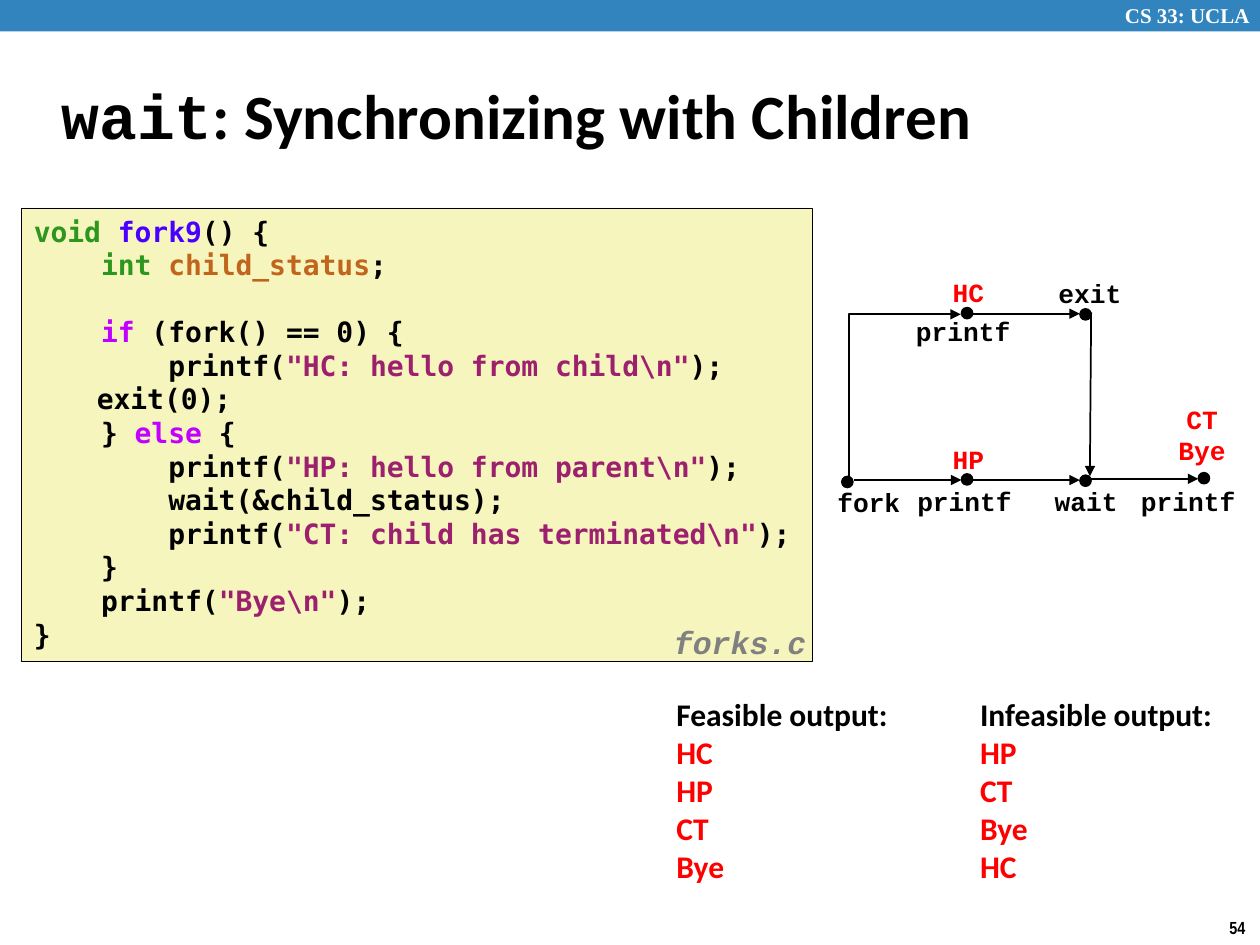
from lxml import etree
from pptx import Presentation
from pptx.dml.color import RGBColor
from pptx.enum.shapes import MSO_CONNECTOR, MSO_SHAPE
from pptx.enum.text import MSO_ANCHOR, PP_ALIGN
from pptx.oxml.ns import qn
from pptx.util import Inches, Pt

RECTANGLE, OVAL = MSO_SHAPE.RECTANGLE, MSO_SHAPE.OVAL
STRAIGHT, ELBOW = MSO_CONNECTOR.STRAIGHT, MSO_CONNECTOR.ELBOW
TOP, MIDDLE = MSO_ANCHOR.TOP, MSO_ANCHOR.MIDDLE
LEFT, CENTER = PP_ALIGN.LEFT, PP_ALIGN.CENTER

BLACK = RGBColor(0x00, 0x00, 0x00)
WHITE = RGBColor(0xFF, 0xFF, 0xFF)
RED = RGBColor(0xFF, 0x00, 0x00)
GRAY = RGBColor(0x80, 0x80, 0x80)
BLUE = RGBColor(0x32, 0x84, 0xBF)
CREAM = RGBColor(0xF6, 0xF5, 0xBD)
TYPE = RGBColor(0x2D, 0x96, 0x1E)
FUNCTION = RGBColor(0x4A, 0x00, 0xFF)
VARIABLE = RGBColor(0xC1, 0x65, 0x1C)
KEYWORD = RGBColor(0xC2, 0x00, 0xFF)
STRING = RGBColor(0x9D, 0x20, 0x6F)

prs = Presentation()
prs.slide_width, prs.slide_height = Inches(10), Inches(7.5)
slide = prs.slides.add_slide(prs.slide_layouts[6])
shapes = slide.shapes


def write(shape, lines, size, font, align=LEFT, anchor=TOP, wrap=False):
    frame = shape.text_frame
    frame.word_wrap = wrap
    frame.vertical_anchor = anchor
    for i, line in enumerate(lines):
        paragraph = frame.paragraphs[0] if i == 0 else frame.add_paragraph()
        paragraph.alignment = align
        for text, color in line:
            run = paragraph.add_run()
            run.text = text
            run.font.size = Pt(size)
            run.font.name = font
            run.font.bold = True
            run.font.color.rgb = color
    return frame


def arrow(kind, x1, y1, x2, y2):
    line = shapes.add_connector(kind, Inches(x1), Inches(y1), Inches(x2), Inches(y2))
    line.line.color.rgb = BLACK
    line.line.width = Pt(1)
    properties = line._element.spPr
    etree.SubElement(properties.find(qn("a:ln")), qn("a:tailEnd"), type="triangle")
    etree.SubElement(properties, qn("a:effectLst"))
    return properties


banner = shapes.add_shape(RECTANGLE, 0, 0, Inches(10), Inches(0.25))
banner.shadow.inherit = False
banner.fill.solid()
banner.fill.fore_color.rgb = BLUE
banner.line.fill.background()

course = shapes.add_textbox(Inches(8.83), Inches(-0.03), Inches(1.24), Inches(0.3))
write(course, [[("CS 33: UCLA", WHITE)]], 12, "Times New Roman", wrap=True)

page = shapes.add_textbox(Inches(9.66), Inches(7.23), Inches(0.34), Inches(0.27))
write(page, [[("54", BLACK)]], 10, "Arial Narrow")

title = shapes.add_textbox(Inches(0.39), Inches(0.49), Inches(8.3), Inches(0.83))
heading = write(title, [[("wait", BLACK), (": Synchronizing with Children", BLACK)]],
                36, "Calibri", anchor=MIDDLE, wrap=True)
heading.paragraphs[0].runs[0].font.name = "Courier New"

code_lines = [
    [("void ", TYPE), ("fork9", FUNCTION), ("() {", BLACK)],
    [("    ", BLACK), ("int ", TYPE), ("child_status", VARIABLE), (";", BLACK)],
    [("", BLACK)],
    [("    ", BLACK), ("if", KEYWORD), (" (fork() == 0) {", BLACK)],
    [("        printf(", BLACK), ('"HC: hello from child\\n"', STRING), (");", BLACK)],
    [("\texit(0);", BLACK)],
    [("    } ", BLACK), ("else", KEYWORD), (" {", BLACK)],
    [("        printf(", BLACK), ('"HP: hello from parent\\n"', STRING), (");", BLACK)],
    [("        wait(&child_status);", BLACK)],
    [("        printf(", BLACK), ('"CT: child has terminated\\n"', STRING), (");", BLACK)],
    [("    }", BLACK)],
    [("    printf(", BLACK), ('"Bye\\n"', STRING), (");", BLACK)],
    [("}", BLACK)],
]
code = shapes.add_shape(RECTANGLE, Inches(0.17), Inches(1.65), Inches(6.28), Inches(3.6))
code.shadow.inherit = False
code.fill.solid()
code.fill.fore_color.rgb = CREAM
code.line.color.rgb = BLACK
code.line.width = Pt(0.25)
write(code, code_lines, 16, "DejaVu Sans Mono")

for x, y in [(6.68, 3.78), (7.63, 3.76), (8.57, 3.77), (9.51, 3.75), (7.63, 2.44), (8.57, 2.45)]:
    event = shapes.add_shape(OVAL, Inches(x), Inches(y), Inches(0.09), Inches(0.09))
    event.shadow.inherit = False
    event.fill.solid()
    event.fill.fore_color.rgb = BLACK
    event.line.color.rgb = BLACK
    event.line.width = Pt(0.75)

for x1, y1, x2, y2 in [
    (6.78, 3.81, 7.63, 3.81),
    (7.72, 3.81, 8.57, 3.81),
    (8.66, 3.8, 9.51, 3.8),
    (7.72, 2.49, 8.57, 2.49),
    (8.66, 2.48, 8.65, 3.78),
]:
    arrow(STRAIGHT, x1, y1, x2, y2)

child_branch = arrow(ELBOW, 7.82, 3.58, 6.54, 2.69)
child_branch.find(qn("a:xfrm")).set("rot", "5400000")
child_branch.find(qn("a:prstGeom")).set("prst", "bentConnector2")

for words, color, x, y, width, height in [
    (["fork"], BLACK, 6.49, 3.81, 0.81, 0.35),
    (["printf"], BLACK, 7.17, 3.8, 0.97, 0.35),
    (["wait"], BLACK, 8.14, 3.8, 0.96, 0.35),
    (["printf"], BLACK, 8.95, 3.8, 0.96, 0.35),
    (["printf"], BLACK, 7.13, 2.45, 1.03, 0.35),
    (["exit"], BLACK, 8.17, 2.15, 0.96, 0.35),
    (["HP"], RED, 7.46, 3.47, 0.45, 0.35),
    (["HC"], RED, 7.46, 2.14, 0.45, 0.35),
    (["CT", "Bye"], RED, 9.25, 3.15, 0.58, 0.61),
]:
    label = shapes.add_textbox(Inches(x), Inches(y), Inches(width), Inches(height))
    write(label, [[(word, color)] for word in words], 15, "Courier New", CENTER)

file_name = shapes.add_textbox(Inches(5.25), Inches(4.92), Inches(1.32), Inches(0.39))
file_text = write(file_name, [[("forks.c", GRAY)]], 18, "Courier New")
file_text.paragraphs[0].line_spacing = 0.94
file_text.paragraphs[0].runs[0].font.italic = True

for heading_text, outputs, x, width in [
    ("Feasible output:", ["HC", "HP", "CT", "Bye"], 5.27, 1.9),
    ("Infeasible output:", ["HP", "CT", "Bye", "HC"], 7.68, 2.07),
]:
    listing = shapes.add_textbox(Inches(x), Inches(5.47), Inches(width), Inches(1.62))
    write(listing, [[(heading_text, BLACK)]] + [[(word, RED)] for word in outputs], 18, "Calibri")

prs.save("out.pptx")
